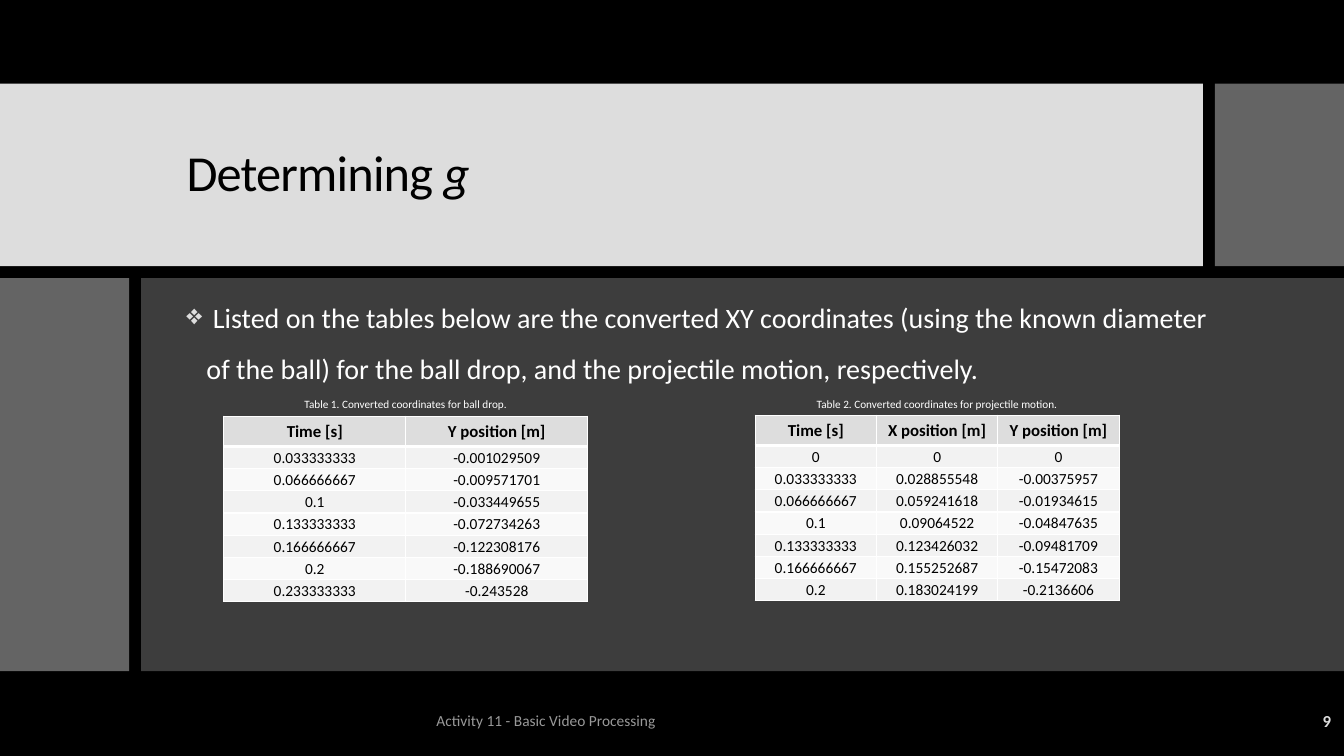
from dataclasses import dataclass

from lxml import etree
from pptx import Presentation
from pptx.dml.color import RGBColor
from pptx.enum.shapes import MSO_SHAPE
from pptx.enum.text import MSO_ANCHOR, MSO_AUTO_SIZE, PP_ALIGN
from pptx.oxml.ns import qn
from pptx.util import Inches, Pt

RECTANGLE = MSO_SHAPE.RECTANGLE
MIDDLE, TOP = MSO_ANCHOR.MIDDLE, MSO_ANCHOR.TOP
LEFT, CENTER, RIGHT = PP_ALIGN.LEFT, PP_ALIGN.CENTER, PP_ALIGN.RIGHT
FONT = "Calibri"
COLORS = {
    "black": "000000", "white": "FFFFFF", "light": "DDDDDD", "accent": "C8C8C8",
    "body": "666666", "footer": "999999", "odd_row": "F2F2F2", "even_row": "F9F9F9",
}
HEADER_HEIGHT, ROW_HEIGHT = 0.3, 0.22
TABLE_WIDTH = 3.61


@dataclass
class Panel:
    left: float
    top: float
    width: float
    height: float
    color: str
    opacity: int = 100


@dataclass
class Label:
    text: str
    left: float
    top: float
    width: float
    height: float
    size: int
    color: str
    align: PP_ALIGN = LEFT
    anchor: MSO_ANCHOR = TOP
    bold: bool = False


@dataclass
class DataTable:
    caption: str
    left: float
    top: float
    headers: list[str]
    rows: list[tuple[str, ...]]


PANELS = [
    Panel(0, 0.83, 11.93, 1.81, "light"),
    Panel(12.05, 0.83, 1.3, 1.81, "accent", 50),
    Panel(0, 2.76, 1.28, 3.9, "accent", 50),
    Panel(1.4, 2.76, 11.94, 3.9, "body", 60),
]
STATEMENT = Label(
    " Listed on the tables below are the converted XY coordinates (using the known "
    "diameter of the ball) for the ball drop, and the projectile motion, respectively.",
    1.75, 2.77, 10.43, 3.89, 20, "white")
FOOTERS = [
    Label("Activity 11 - Basic Video Processing", 4.23, 6.95, 6.46, 0.4, 11, "footer",
          anchor=MIDDLE),
    Label("9", 11.63, 6.95, 1.67, 0.4, 12, "light", RIGHT, MIDDLE, True),
]
TABLES = [
    DataTable("Table 1. Converted coordinates for ball drop.", 2.22, 4.13,
              ["Time [s]", "Y position [m]"],
              [("0.033333333", "-0.001029509"),
               ("0.066666667", "-0.009571701"),
               ("0.1", "-0.033449655"),
               ("0.133333333", "-0.072734263"),
               ("0.166666667", "-0.122308176"),
               ("0.2", "-0.188690067"),
               ("0.233333333", "-0.243528")]),
    DataTable("Table 2. Converted coordinates for projectile motion.", 7.49, 4.12,
              ["Time [s]", "X position [m]", "Y position [m]"],
              [("0", "0", "0"),
               ("0.033333333", "0.028855548", "-0.00375957"),
               ("0.066666667", "0.059241618", "-0.01934615"),
               ("0.1", "0.09064522", "-0.04847635"),
               ("0.133333333", "0.123426032", "-0.09481709"),
               ("0.166666667", "0.155252687", "-0.15472083"),
               ("0.2", "0.183024199", "-0.2136606")]),
]


def rgb(color: str) -> RGBColor:
    return RGBColor.from_string(COLORS[color])


def style_paragraph(paragraph, size: int, color: str, bold: bool = False) -> None:
    font = paragraph.font
    font.name, font.size, font.bold = FONT, Pt(size), bold
    font.color.rgb = rgb(color)


def add_panel(slide, panel: Panel) -> None:
    shape = slide.shapes.add_shape(RECTANGLE, Inches(panel.left), Inches(panel.top),
                                   Inches(panel.width), Inches(panel.height))
    shape.shadow.inherit = False
    shape.line.fill.background()
    shape.fill.solid()
    shape.fill.fore_color.rgb = rgb(panel.color)
    if panel.opacity < 100:
        color = shape._element.spPr.find(f"{qn('a:solidFill')}/{qn('a:srgbClr')}")
        etree.SubElement(color, qn("a:alpha"), val=str(panel.opacity * 1000))


def format_title(slide) -> None:
    title = slide.shapes.title
    slide.shapes._spTree.append(title._element)  # bring in front of the panels
    title.left, title.top = Inches(1.75), Inches(1.19)
    title.width, title.height = Inches(9.82), Inches(1.09)
    frame = title.text_frame
    frame.auto_size = MSO_AUTO_SIZE.NONE
    frame.vertical_anchor = MIDDLE
    paragraph = frame.paragraphs[0]
    paragraph.alignment, paragraph.line_spacing = LEFT, 0.9
    style_paragraph(paragraph, 36, "black")
    for text, italic in (("Determining ", False), ("g", True)):
        run = paragraph.add_run()
        run.text = text
        run.font.italic = italic
        run.font._rPr.set("spc", "-60")


def add_label(slide, label: Label, bullet: str = ""):
    box = slide.shapes.add_textbox(Inches(label.left), Inches(label.top),
                                   Inches(label.width), Inches(label.height))
    frame = box.text_frame
    frame.word_wrap = True
    frame.vertical_anchor = label.anchor
    paragraph = frame.paragraphs[0]
    paragraph.text = label.text
    paragraph.alignment = label.align
    if bullet:
        paragraph.line_spacing = 1.5
        properties = paragraph._p.get_or_add_pPr()
        properties.set("marL", str(Inches(0.2)))
        properties.set("indent", str(-Inches(0.2)))
        bullet_color = etree.SubElement(properties, qn("a:buClr"))
        etree.SubElement(bullet_color, qn("a:srgbClr"), val=COLORS["light"])
        etree.SubElement(properties, qn("a:buChar"), char=bullet)
    style_paragraph(paragraph, label.size, label.color, label.bold)


def set_borders(cell, top: int, bottom: int) -> None:
    """Draw white cell borders; widths are points, sides are always 1."""
    properties = cell._tc.get_or_add_tcPr()
    for side, width in (("L", 1), ("R", 1), ("T", top), ("B", bottom)):
        line = etree.SubElement(properties, qn(f"a:ln{side}"), w=str(Pt(width)))
        fill = etree.SubElement(line, qn("a:solidFill"))
        etree.SubElement(fill, qn("a:srgbClr"), val=COLORS["white"])


def add_data_table(slide, data: DataTable) -> None:
    lines = [data.headers, *data.rows]
    height = HEADER_HEIGHT + ROW_HEIGHT * len(data.rows)
    table = slide.shapes.add_table(len(lines), len(data.headers), Inches(data.left),
                                   Inches(data.top), Inches(TABLE_WIDTH),
                                   Inches(height)).table
    for row_index, values in enumerate(lines):
        is_header = row_index == 0
        table.rows[row_index].height = Inches(HEADER_HEIGHT if is_header else ROW_HEIGHT)
        row_color = "light" if is_header else "odd_row" if row_index % 2 else "even_row"
        for column_index, value in enumerate(values):
            cell = table.cell(row_index, column_index)
            set_borders(cell, 3 if row_index == 1 else 1, 3 if is_header else 1)
            cell.fill.solid()
            cell.fill.fore_color.rgb = rgb(row_color)
            cell.vertical_anchor = MIDDLE
            if not is_header:
                cell.margin_left = cell.margin_right = cell.margin_top = Inches(0.01)
                cell.margin_bottom = 0
            paragraph = cell.text_frame.paragraphs[0]
            paragraph.text = value
            paragraph.alignment = CENTER
            style_paragraph(paragraph, 12 if is_header else 11, "black", is_header)
    add_label(slide, Label(data.caption, data.left, 3.89, TABLE_WIDTH, 0.24, 8, "white",
                           CENTER))


def main() -> None:
    presentation = Presentation()
    presentation.slide_width, presentation.slide_height = Inches(13.33), Inches(7.5)
    slide = presentation.slides.add_slide(presentation.slide_layouts[5])
    slide.background.fill.solid()
    slide.background.fill.fore_color.rgb = rgb("black")
    for panel in PANELS:
        add_panel(slide, panel)
    format_title(slide)
    add_label(slide, STATEMENT, bullet="❖")
    for footer in FOOTERS:
        add_label(slide, footer)
    for data in TABLES:
        add_data_table(slide, data)
    presentation.save("out.pptx")


if __name__ == "__main__":
    main()
